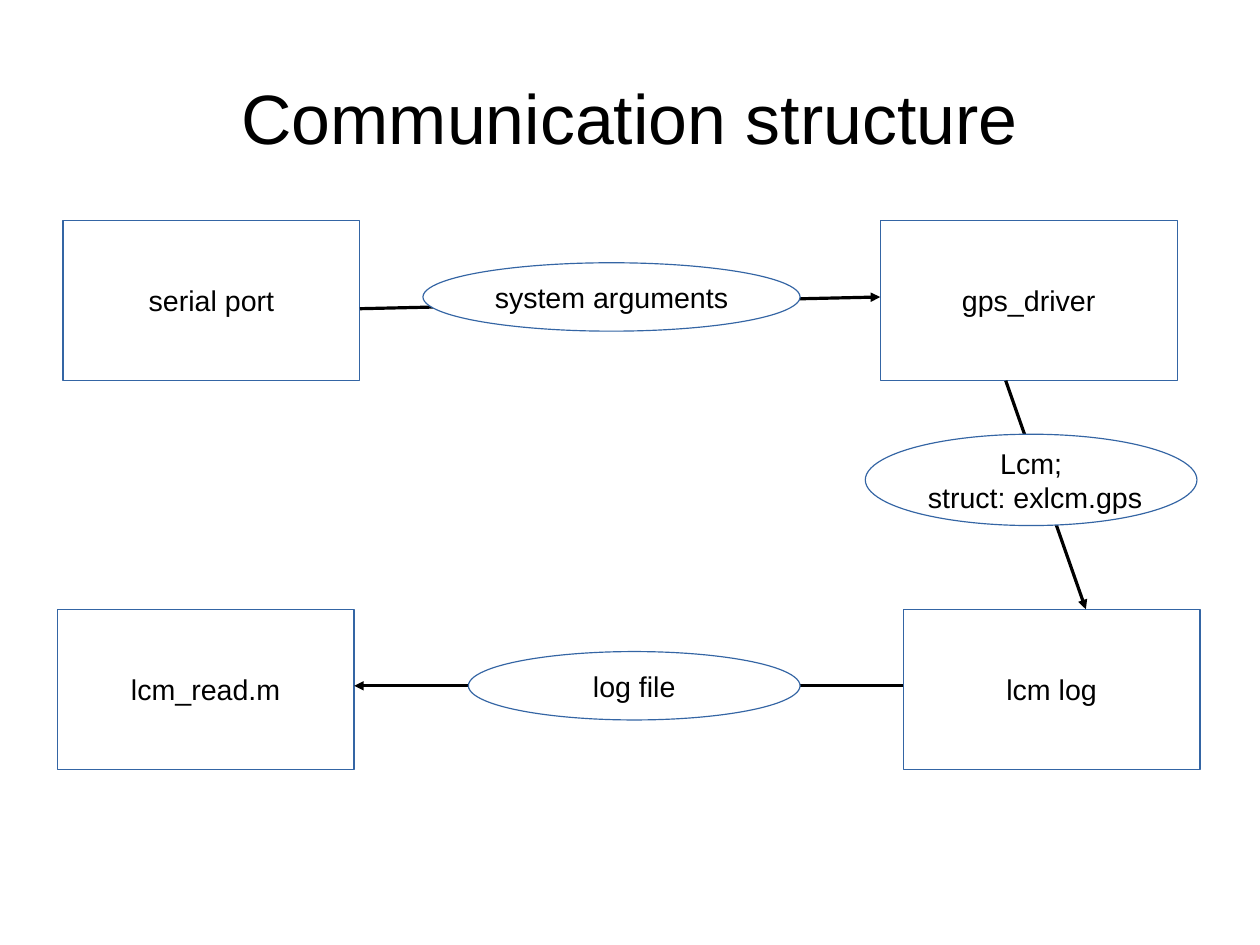
"""Build the communication structure slide: four components and the links between them."""
from lxml.etree import SubElement
from pptx import Presentation
from pptx.dml.color import RGBColor
from pptx.enum.shapes import MSO_CONNECTOR, MSO_SHAPE
from pptx.enum.text import MSO_ANCHOR, PP_ALIGN
from pptx.oxml.ns import qn
from pptx.util import Cm, Pt

COLORS = {"text": "000000", "arrow": "000000", "outline": "3465A4", "fill": "FFFFFF"}
FONT = "Arial"
TITLE = "Communication structure"

TOP_ROW, BOTTOM_ROW = 4.9, 13.54
COMPONENT_WIDTH, COMPONENT_HEIGHT = 6.6, 3.56
COMPONENTS = {
    "gps_driver": (19.56, TOP_ROW),
    "lcm log": (20.07, BOTTOM_ROW),
    "lcm_read.m": (1.27, BOTTOM_ROW),
    "serial port": (1.4, TOP_ROW),
}
FLOWS = [
    ((8, 6.86), (19.56, 6.6)),
    ((22.35, TOP_ROW + COMPONENT_HEIGHT), (24.13, BOTTOM_ROW)),
    ((20.07, 15.24), (7.87, 15.24)),
]
MESSAGES = {
    "system arguments": (9.4, 5.84, 8.38, 1.52),
    "Lcm;\n struct: exlcm.gps": (19.23, 9.65, 7.37, 2.03),
    "log file": (10.41, 14.48, 7.37, 1.52),
}


def color(role):
    return RGBColor.from_string(COLORS[role])


def write(holder, text, size=18, wrap=False, margins=(0.25, 0.13)):
    frame = holder.text_frame
    frame.word_wrap = wrap
    frame.vertical_anchor = MSO_ANCHOR.MIDDLE
    frame.margin_left = frame.margin_right = Cm(margins[0])
    frame.margin_top = frame.margin_bottom = Cm(margins[1])
    frame.text = text
    for paragraph in frame.paragraphs:
        paragraph.alignment = PP_ALIGN.CENTER
        paragraph.font.size = Pt(size)
        paragraph.font.name = FONT
        paragraph.font.color.rgb = color("text")


def add_node(slide, outline, text, *bounds):
    node = slide.shapes.add_shape(outline, *map(Cm, bounds))
    node.shadow.inherit = False
    node.fill.solid()
    node.fill.fore_color.rgb = color("fill")
    node.line.color.rgb = color("outline")
    node.line.width = Pt(0)
    write(node, text)


def add_flow(slide, start, end):
    flow = slide.shapes.add_connector(MSO_CONNECTOR.STRAIGHT, *map(Cm, start + end))
    flow.line.color.rgb = color("arrow")
    flow.line.width = Pt(0)
    SubElement(flow.line._get_or_add_ln(), qn("a:tailEnd"), type="triangle")
    SubElement(flow._element.spPr, qn("a:effectLst"))


def main():
    deck = Presentation()
    deck.slide_width, deck.slide_height = Cm(28), Cm(21)
    slide = deck.slides.add_slide(deck.slide_layouts[6])

    title = slide.shapes.add_textbox(Cm(1.4), Cm(0.84), Cm(25.2), Cm(3.5))
    write(title, TITLE, size=44, wrap=True, margins=(0, 0))
    for name, corner in COMPONENTS.items():
        add_node(slide, MSO_SHAPE.RECTANGLE, name, *corner, COMPONENT_WIDTH, COMPONENT_HEIGHT)
    for start, end in FLOWS:
        add_flow(slide, start, end)
    for message, bounds in MESSAGES.items():
        add_node(slide, MSO_SHAPE.OVAL, message, *bounds)

    deck.save("out.pptx")


if __name__ == "__main__":
    main()
